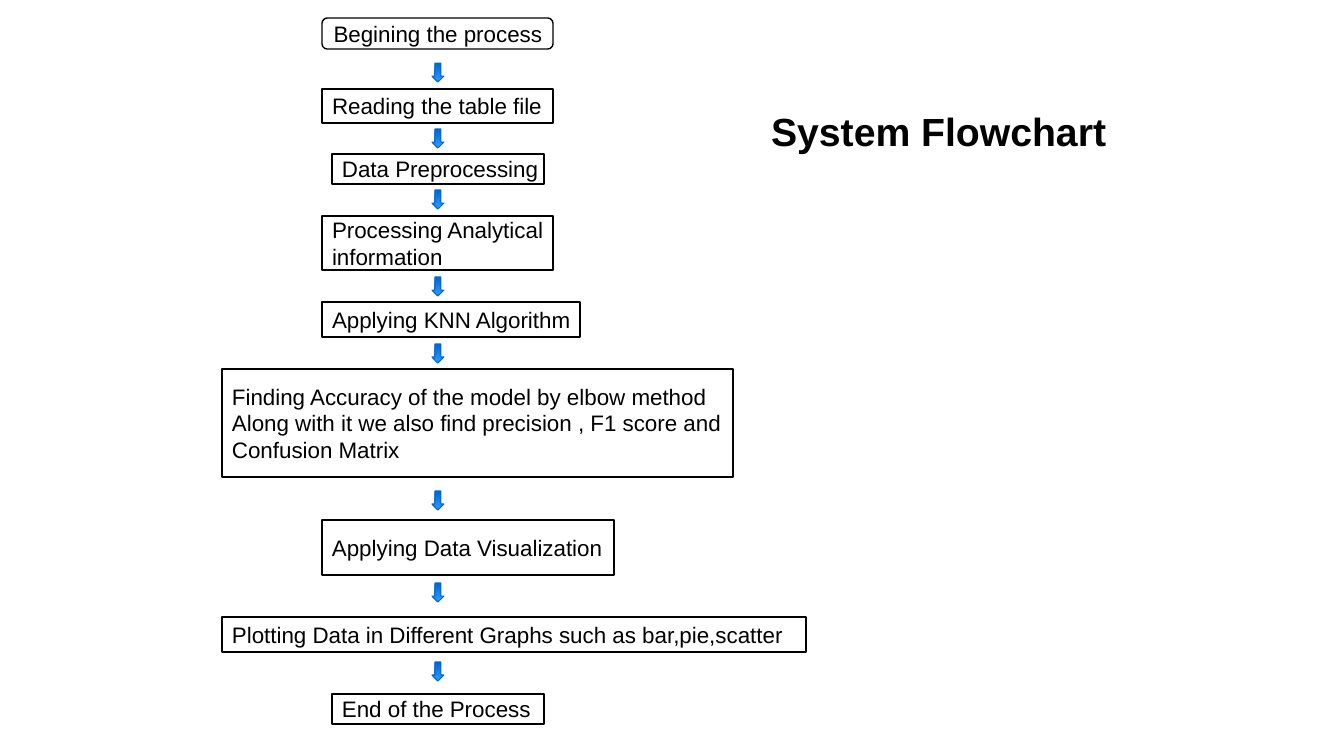
from pptx import Presentation
from pptx.dml.color import RGBColor
from pptx.enum.shapes import MSO_SHAPE as Preset
from pptx.enum.text import MSO_ANCHOR as Anchor, PP_ALIGN as Align
from pptx.util import Emu, Pt

PIXEL = 914400 / 100.8
BLACK, WHITE = "000000", "FFFFFF"
ARROW_DARK, ARROW_LIGHT = "0066CC", "3399FF"


def px(*lengths):
    """Turn pixel lengths into a list of EMU lengths."""
    return [Emu(round(length * PIXEL)) for length in lengths]


def color(hex_string):
    """Turn a hex string into a colour."""
    return RGBColor.from_string(hex_string)


presentation = Presentation()
presentation.slide_width, presentation.slide_height = px(1344, 756)
slide = presentation.slides.add_slide(presentation.slide_layouts[5])

title = slide.shapes.title
title.left, title.top, title.width, title.height = px(761, 102, 356, 57)
title_frame = title.text_frame
title_frame.text = "System Flowchart"
title_frame.word_wrap = False
title_frame.vertical_anchor = Anchor.TOP
title_paragraph = title_frame.paragraphs[0]
title_paragraph.alignment = Align.LEFT
title_font = title_paragraph.runs[0].font
title_font.name, title_font.size, title_font.bold = "Arial", Pt(28), True
title_font.color.rgb = color(BLACK)

# Left, top, width, height and text of each step
steps = [
    (322, 18, 231, 31, "Begining the process"),
    (322, 89, 231, 34, "Reading the table file"),
    (332, 154, 212, 30, "Data Preprocessing"),
    (322, 216, 231, 54, "Processing Analytical\ninformation"),
    (322, 302, 258, 35, "Applying KNN Algorithm"),
    (222, 369, 511, 108, "Finding Accuracy of the model by elbow method\n"
     "Along with it we also find precision , F1 score and\nConfusion Matrix"),
    (322, 520, 292, 55, "Applying Data Visualization"),
    (222, 617, 584, 35, "Plotting Data in Different Graphs such as bar,pie,scatter"),
    (332, 694, 212, 30, "End of the Process"),
]
for index, (left, top, width, height, text) in enumerate(steps):
    preset = Preset.RECTANGLE if index else Preset.FLOWCHART_ALTERNATE_PROCESS
    box = slide.shapes.add_shape(preset, *px(left, top, width, height))
    box.shadow.inherit = False
    box.fill.solid()
    box.fill.fore_color.rgb = color(WHITE)
    box.line.color.rgb = color(BLACK)
    box.line.width = Pt(1)
    frame = box.text_frame
    frame.text = text
    frame.word_wrap = True
    frame.vertical_anchor = Anchor.MIDDLE
    frame.margin_left, frame.margin_right = px(10, 0)
    frame.margin_top, frame.margin_bottom = px(0, 0)
    for paragraph in frame.paragraphs:
        paragraph.alignment = Align.LEFT
        font = paragraph.runs[0].font
        font.name, font.size = "Arial", Pt(16)
        font.color.rgb = color(BLACK)

for arrow_top in (63, 129, 190, 277, 344, 491, 583, 662):
    arrow = slide.shapes.add_shape(Preset.DOWN_ARROW, *px(432, arrow_top, 12, 19))
    arrow.shadow.inherit = False
    arrow.fill.gradient()
    arrow.fill.gradient_angle = 270
    for position, (stop, shade) in enumerate(
            zip(arrow.fill.gradient_stops, (ARROW_DARK, ARROW_LIGHT))):
        stop.position = position
        stop.color.rgb = color(shade)
    arrow.line.color.rgb = color(ARROW_DARK)
    arrow.line.width = Pt(0.75)

presentation.save("out.pptx")
